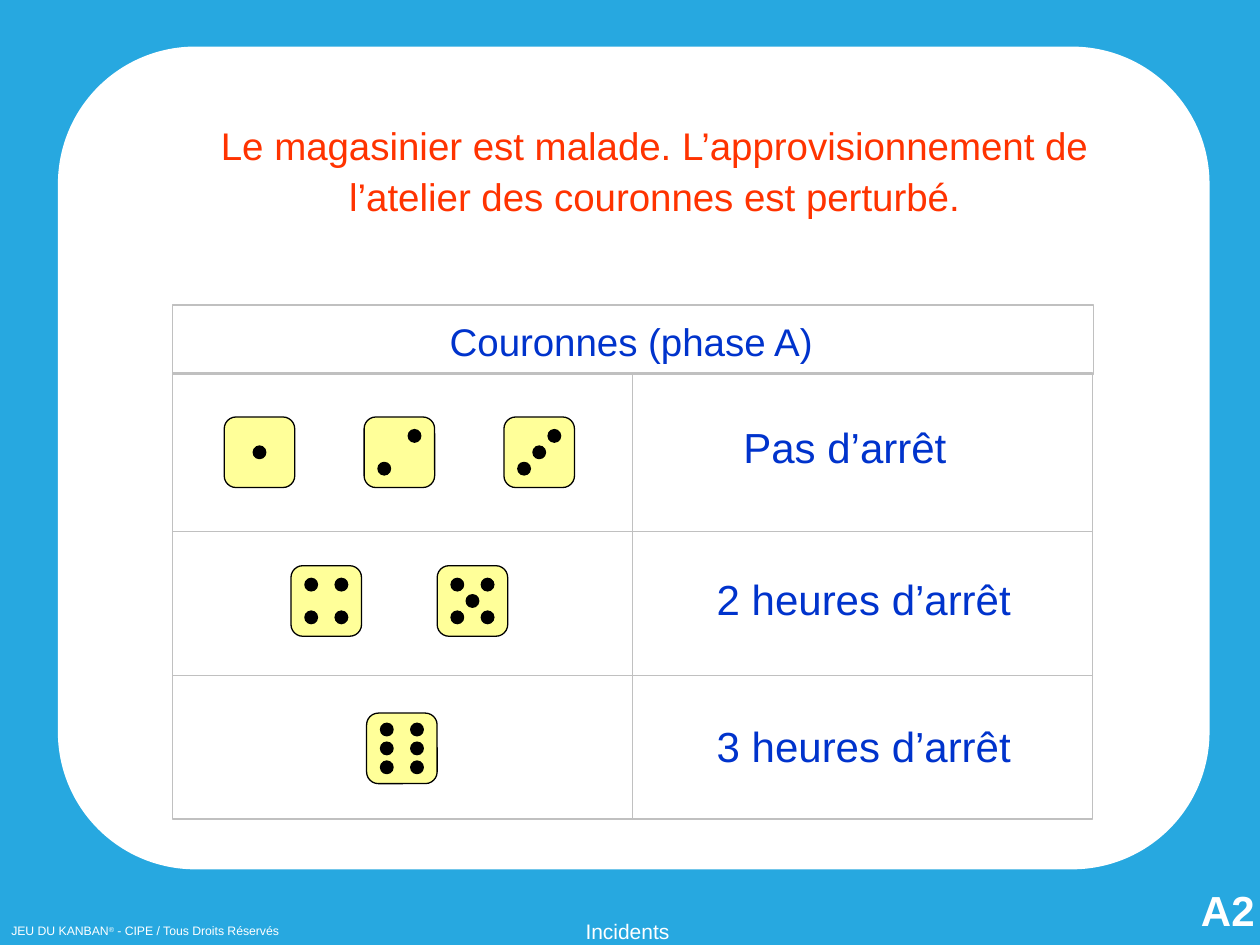
from pptx import Presentation
from pptx.dml.color import RGBColor
from pptx.enum.shapes import MSO_CONNECTOR, MSO_SHAPE as SHAPE
from pptx.enum.text import MSO_ANCHOR as ANCHOR, MSO_AUTO_SIZE, PP_ALIGN as ALIGN
from pptx.util import Inches, Pt
from lxml.etree import SubElement
from pptx.oxml.ns import qn

hue = RGBColor.from_string
deck = Presentation()
deck.slide_width, deck.slide_height = Inches(10), Inches(7.5)
col, row = deck.slide_width / 100, deck.slide_height / 75
slide = deck.slides.add_slide(deck.slide_layouts[5])
slide.background.fill.solid()
slide.background.fill.fore_color.rgb = hue("27A8E0")


def block(parent, kind, left, top, width, height, fill=None, line=None):
    shape = parent.add_shape(kind, int(left * col), int(top * row), int(width * col), int(height * row))
    shape.shadow.inherit = False
    if fill:
        shape.fill.solid()
        shape.fill.fore_color.rgb = hue(fill)
    else:
        shape.fill.background()
    if line:
        shape.line.color.rgb = hue(line)
        shape.line.width = Pt(0.75)
    else:
        shape.line.fill.background()
    return shape


def write(text, left, top, width, height, size=24, color="0033CC", bold=False, align=ALIGN.CENTER,
          anchor=ANCHOR.TOP, insets=(1, 0.5, 1, 0.5), wrap=True, spacing=None, holder=None):
    holder = holder or slide.shapes.add_textbox(0, 0, 0, 0)
    holder.left, holder.top = int(left * col), int(top * row)
    holder.width, holder.height = int(width * col), int(height * row)
    frame = holder.text_frame
    frame.word_wrap, frame.vertical_anchor = wrap, anchor
    frame.auto_size = MSO_AUTO_SIZE.SHAPE_TO_FIT_TEXT
    frame.margin_left, frame.margin_right = int(insets[0] * col), int(insets[2] * col)
    frame.margin_top, frame.margin_bottom = int(insets[1] * row), int(insets[3] * row)
    line = frame.paragraphs[0]
    line.alignment, line.line_spacing = align, spacing
    for part in [text] if isinstance(text, str) else text:
        run = line.add_run()
        run.text = part
        run.font.name, run.font.size, run.font.bold = "Arial", Pt(size), bold
        run.font.color.rgb = hue(color)
    return line


panel = block(slide.shapes, SHAPE.ROUNDED_RECTANGLE, 4.6, 3.7, 91.4, 65.3, "FFFFFF")
panel.adjustments[0] = 0.167
incident = slide.shapes.title
panel.element.addnext(incident.element)
write("Le magasinier est malade. L’approvisionnement de l’atelier des couronnes est perturbé.",
      12.4, 8.8, 79.1, 9.1, size=22, color="FF3300", spacing=1.1, holder=incident)

grid_left, grid_width, grid_top, grid_bottom = 13.7, 73, 29.6, 65
outcomes = block(slide.shapes, SHAPE.RECTANGLE, grid_left, grid_top, grid_width, grid_bottom - grid_top, line="C0C0C0")
block(slide.shapes, SHAPE.RECTANGLE, grid_left, 24.2, grid_width + 0.1, 5.5, line="C0C0C0")
grid_right, middle = grid_left + grid_width, 50
for x1, y1, x2, y2 in [(grid_left, 42.2, grid_right, 42.2), (grid_left, 53.6, grid_right, 53.6),
                       (middle, grid_top, middle, grid_bottom)]:
    rule = slide.shapes.add_connector(MSO_CONNECTOR.STRAIGHT, int(x1 * col), int(y1 * row), int(x2 * col), int(y2 * row))
    rule.line.color.rgb = hue("C0C0C0")
    rule.line.width = Pt(0.75)
    SubElement(rule.element.spPr, qn("a:effectLst"))
    if x1 == x2:
        rule.begin_connect(outcomes, 0)
        rule.end_connect(outcomes, 2)

write("Couronnes (phase A)", 29.2, 24.4, 41.8, 5, size=22, spacing=1.1)
write("Pas d’arrêt", 58, 33, 18.1, 5, wrap=False)
write("2 heures d’arrêt", 55.9, 45, 25.4, 5, align=ALIGN.LEFT, wrap=False)
write("3 heures d’arrêt", 55.9, 56.7, 25.4, 5, align=ALIGN.LEFT, wrap=False)

low, mid, high = 1.1, 2.3, 3.5
diagonal = [(low, 3.6), (high, 1)]
corners = diagonal + [(low, 1), (high, 3.6)]
center = [(mid, 2.3)]
six = [(x, y) for x in (low, high) for y in (0.8, 2.3, 3.8)]
dice = [(17.8, 33.1, center), (28.9, 33.1, diagonal), (40, 33.1, diagonal + center),
        (23.1, 44.9, corners), (34.7, 44.9, corners + center), (29.1, 56.6, six)]
for left, top, pips in dice:
    die = slide.shapes.add_group_shape().shapes
    face = block(die, SHAPE.ROUNDED_RECTANGLE, left, top, 5.6, 5.6, "FFFF99", "000000")
    face.adjustments[0] = 0.167
    for x, y in pips:
        block(die, SHAPE.OVAL, left + x, top + y, 1, 1, "000000", "000000")

write("Incidents", 42.9, 72.4, 13.8, 2.6, size=12, color="FFFFFF", anchor=ANCHOR.BOTTOM, insets=(1, 0.5, 1, 0.1))
rights = write(["JEU DU KANBAN", "®", " - CIPE / Tous Droits Réservés"], 0, 72.9, 23.4, 2.1, size=7,
               color="FFFFFF", align=ALIGN.LEFT, insets=(0.9, 0.4, 0.9, 0.4), wrap=False)
rights.runs[1].font._element.set("baseline", "30000")
write("A2", 95.1, 70.1, 4.7, 4.2, color="FFFFFF", bold=True, anchor=ANCHOR.MIDDLE,
      insets=(0.2, 0.1, 0.2, 0.1), wrap=False)

deck.save("out.pptx")
